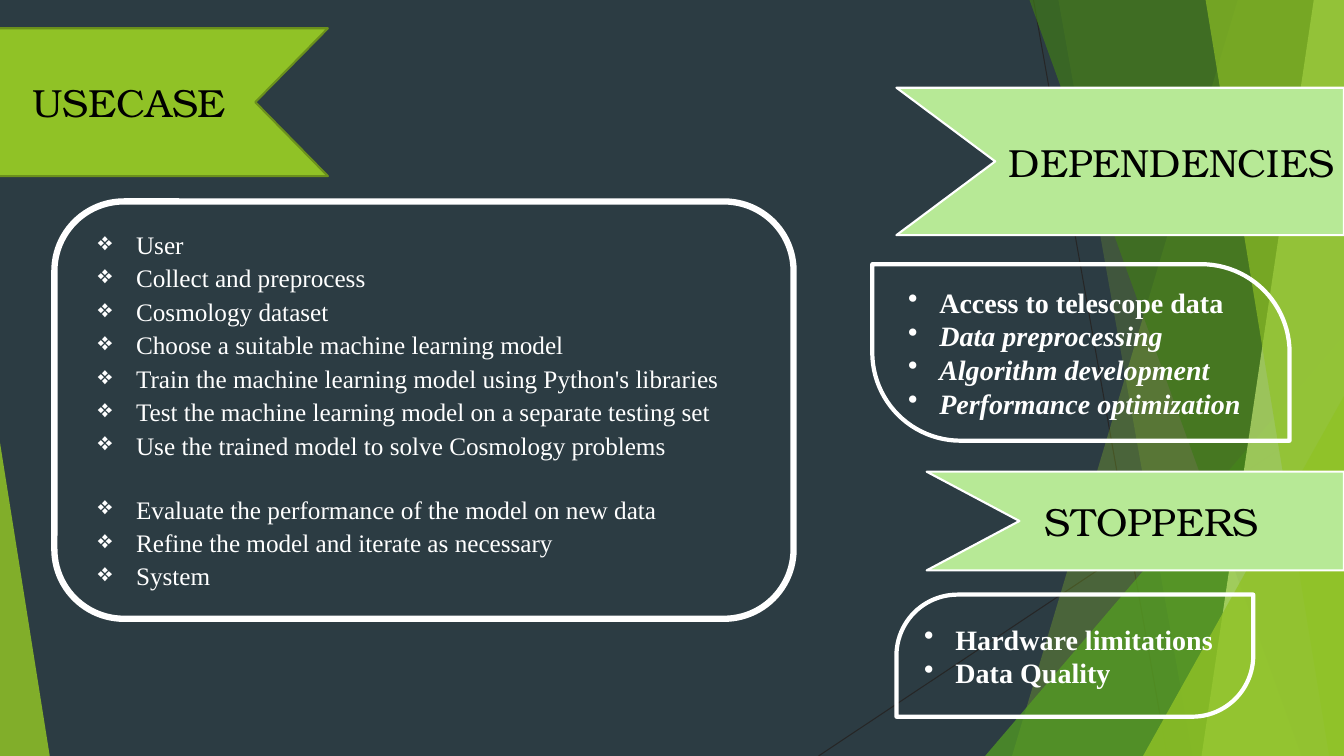
from dataclasses import dataclass

from lxml.etree import SubElement
from pptx import Presentation
from pptx.dml.color import RGBColor
from pptx.enum.shapes import MSO_CONNECTOR, MSO_SHAPE
from pptx.enum.text import MSO_ANCHOR, PP_ALIGN
from pptx.oxml.ns import qn
from pptx.util import Inches, Pt

COLORS = {
    "night": "2C3C43", "lime": "90C226", "moss": "6B901C", "leaf": "54A021",
    "forest": "3F7819", "pale": "C0E474", "mint": "B7E996",
    "white": "FFFFFF", "black": "000000", "hairline": "262626",
}
HEADING_FONT, BODY_FONT = "TeX Gyre Bonum", "Times New Roman"


@dataclass
class Band:
    """Background band reaching the right edge; lengths are % of the width."""
    top_x: float
    bottom_x: float
    color: str
    opacity: int


@dataclass
class Wedge:
    """Background triangle standing on the bottom edge."""
    left: float
    top: float
    width: float
    apex: float
    color: str
    opacity: int


@dataclass
class Ribbon:
    """Heading ribbon running from a slide edge to a notched tail."""
    heading: str
    edge: float
    tip: float
    notch: float
    top: float
    bottom: float
    fill: str
    outline: str
    align: PP_ALIGN
    inset: float


@dataclass
class Item:
    """One bulleted line."""
    wording: str
    italic: bool = False
    gap_after: float = 0


@dataclass
class Panel:
    """Outlined box with a bulleted list."""
    left: float
    top: float
    width: float
    height: float
    outline_kind: MSO_SHAPE
    corners: tuple[float, ...]
    outline_width: float
    bullet: str
    indent: float
    hang: float
    size: int
    bold: bool
    gap_before: float
    items: list[Item]


BACKDROP = [
    Band(92.1, 75.3, "lime", 30),
    Band(78.75, 88.75, "lime", 20),
    Wedge(73.3, 44.4, 26.7, 1, "leaf", 72),
    Band(76.6, 96.85, "forest", 70),
    Band(97.75, 89.4, "pale", 70),
    Band(89.7, 98.9, "lime", 65),
    Wedge(85.05, 52.4, 14.95, 1, "lime", 80),
    Wedge(0, 58.55, 3.7, 0, "lime", 85),
]
HAIRLINES = [((76.9, 0), (86.85, 100)), ((100, 53.75), (60.9, 100))]
RIBBONS = [
    Ribbon("USECASE", -0.15, 24.4, 19, 3.75, 23.3, "lime", "moss", PP_ALIGN.LEFT, 0.34),
    Ribbon("DEPENDENCIES", 100, 66.7, 74.05, 11.6, 31.1, "mint", "white", PP_ALIGN.RIGHT, 0.1),
    Ribbon("STOPPERS", 100, 68.95, 75.85, 62.4, 75.45, "mint", "white", PP_ALIGN.RIGHT, 0.85),
]
PANELS = [
    Panel(4.05, 26.65, 55, 55.2, MSO_SHAPE.FLOWCHART_ALTERNATE_PROCESS, (), 4.5,
          "❖", 0.51, 0.38, 18, False, 1.2, [
              Item("User", gap_after=1.1),
              Item("Collect and preprocess", gap_after=1.1),
              Item("Cosmology dataset", gap_after=1.1),
              Item("Choose a suitable machine learning model", gap_after=1.1),
              Item("Train the machine learning model using Python's libraries", gap_after=1.1),
              Item("Test the machine learning model on a separate testing set", gap_after=1.1),
              Item("Use the trained model to solve Cosmology problems", gap_after=22.9),
              Item("Evaluate the performance of the model on new data", gap_after=1.1),
              Item("Refine the model and iterate as necessary", gap_after=1.1),
              Item("System", gap_after=1.1)]),
    Panel(64.9, 34.95, 31.05, 23.35, MSO_SHAPE.ROUND_2_DIAG_RECTANGLE, (0, 0.5), 3,
          "•", 0.31, 0.31, 20, True, 0, [
              Item("Access to telescope data"),
              Item("Data preprocessing", italic=True),
              Item("Algorithm development", italic=True),
              Item("Performance optimization", italic=True)]),
    Panel(66.7, 78.65, 26.55, 16.15, MSO_SHAPE.ROUND_2_DIAG_RECTANGLE, (0.5, 0), 3,
          "•", 0.31, 0.31, 20, True, 0, [
              Item("Hardware limitations"),
              Item("Data Quality")]),
]

deck = Presentation()
deck.slide_width, deck.slide_height = Inches(13.33), Inches(7.5)
slide = deck.slides.add_slide(deck.slide_layouts[6])


def across(share: float) -> int:
    """Turn a percentage of the slide width into a length."""
    return round(deck.slide_width * share / 100)


def down(share: float) -> int:
    """Turn a percentage of the slide height into a length."""
    return round(deck.slide_height * share / 100)


def rgb(name: str) -> RGBColor:
    """Look up a colour by name."""
    return RGBColor.from_string(COLORS[name])


def paint(shape, fill: str | None, outline: str | None = None,
          width: float = 0, opacity: int = 100) -> None:
    """Set fill, outline and opacity, and drop the shadow."""
    shape.shadow.inherit = False
    if fill:
        shape.fill.solid()
        shape.fill.fore_color.rgb = rgb(fill)
        if opacity < 100:
            tint = shape.fill._xPr.find(qn("a:solidFill"))[0]
            SubElement(tint, qn("a:alpha"), val=str(opacity * 1000))
    else:
        shape.fill.background()
    if outline:
        shape.line.color.rgb = rgb(outline)
        shape.line.width = Pt(width)
    else:
        shape.line.fill.background()


def add_outline(points: list[tuple[float, float]]):
    """Draw a closed polygon through points given as shares."""
    corners = [(across(x), down(y)) for x, y in points]
    builder = slide.shapes.build_freeform(*corners[0])
    builder.add_line_segments(corners[1:], close=True)
    return builder.convert_to_shape()


def add_wording(paragraph, wording: str, font: str, size: int, color: str,
                bold: bool = False, italic: bool = False) -> None:
    """Add one formatted run."""
    run = paragraph.add_run()
    run.text = wording
    run.font.name, run.font.size = font, Pt(size)
    run.font.bold, run.font.italic = bold, italic
    run.font.color.rgb = rgb(color)


def draw_hairline(start: tuple[float, float], end: tuple[float, float]) -> None:
    """Draw a thin background line."""
    hairline = slide.shapes.add_connector(
        MSO_CONNECTOR.STRAIGHT, across(start[0]), down(start[1]), across(end[0]), down(end[1]))
    hairline.line.color.rgb = rgb("hairline")
    hairline.line.width = Pt(0.75)
    SubElement(hairline._element.spPr, qn("a:effectLst"))


def draw_backdrop(part: Band | Wedge) -> None:
    """Draw one translucent background part."""
    if isinstance(part, Band):
        shape = add_outline([(part.top_x, 0), (100, 0), (100, 100), (part.bottom_x, 100)])
    else:
        shape = slide.shapes.add_shape(
            MSO_SHAPE.ISOSCELES_TRIANGLE, across(part.left), down(part.top),
            across(part.width), down(100 - part.top))
        shape.adjustments[0] = part.apex
    paint(shape, part.color, opacity=part.opacity)


def draw_ribbon(ribbon: Ribbon) -> None:
    """Draw a notched ribbon with its heading."""
    shape = add_outline([
        (ribbon.edge, ribbon.top), (ribbon.tip, ribbon.top),
        (ribbon.notch, (ribbon.top + ribbon.bottom) / 2),
        (ribbon.tip, ribbon.bottom), (ribbon.edge, ribbon.bottom)])
    paint(shape, ribbon.fill, ribbon.outline, 1.5)
    frame = shape.text_frame
    frame.word_wrap, frame.vertical_anchor = True, MSO_ANCHOR.MIDDLE
    if ribbon.align == PP_ALIGN.LEFT:
        frame.margin_left = Inches(ribbon.inset)
    else:
        frame.margin_right = Inches(ribbon.inset)
    heading = frame.paragraphs[0]
    heading.alignment = ribbon.align
    add_wording(heading, ribbon.heading, HEADING_FONT, 28, "black")


def draw_panel(panel: Panel) -> None:
    """Draw an outlined box and its list."""
    box = slide.shapes.add_shape(panel.outline_kind, across(panel.left), down(panel.top),
                                 across(panel.width), down(panel.height))
    for index, corner in enumerate(panel.corners):
        box.adjustments[index] = corner
    paint(box, None, "white", panel.outline_width)
    frame = box.text_frame
    frame.word_wrap, frame.vertical_anchor = True, MSO_ANCHOR.MIDDLE
    for index, item in enumerate(panel.items):
        line = frame.add_paragraph() if index else frame.paragraphs[0]
        line.alignment = PP_ALIGN.LEFT
        line.space_before, line.space_after = Pt(panel.gap_before), Pt(item.gap_after)
        layout = line._p.get_or_add_pPr()
        layout.set("marL", str(Inches(panel.indent)))
        layout.set("indent", str(-Inches(panel.hang)))
        SubElement(layout, qn("a:buChar"), char=panel.bullet)
        add_wording(line, item.wording, BODY_FONT, panel.size, "white", panel.bold, item.italic)


slide.background.fill.solid()
slide.background.fill.fore_color.rgb = rgb("night")
for start, end in HAIRLINES:
    draw_hairline(start, end)
for part in BACKDROP:
    draw_backdrop(part)
for ribbon in RIBBONS:
    draw_ribbon(ribbon)
for panel in PANELS:
    draw_panel(panel)
deck.save("out.pptx")
